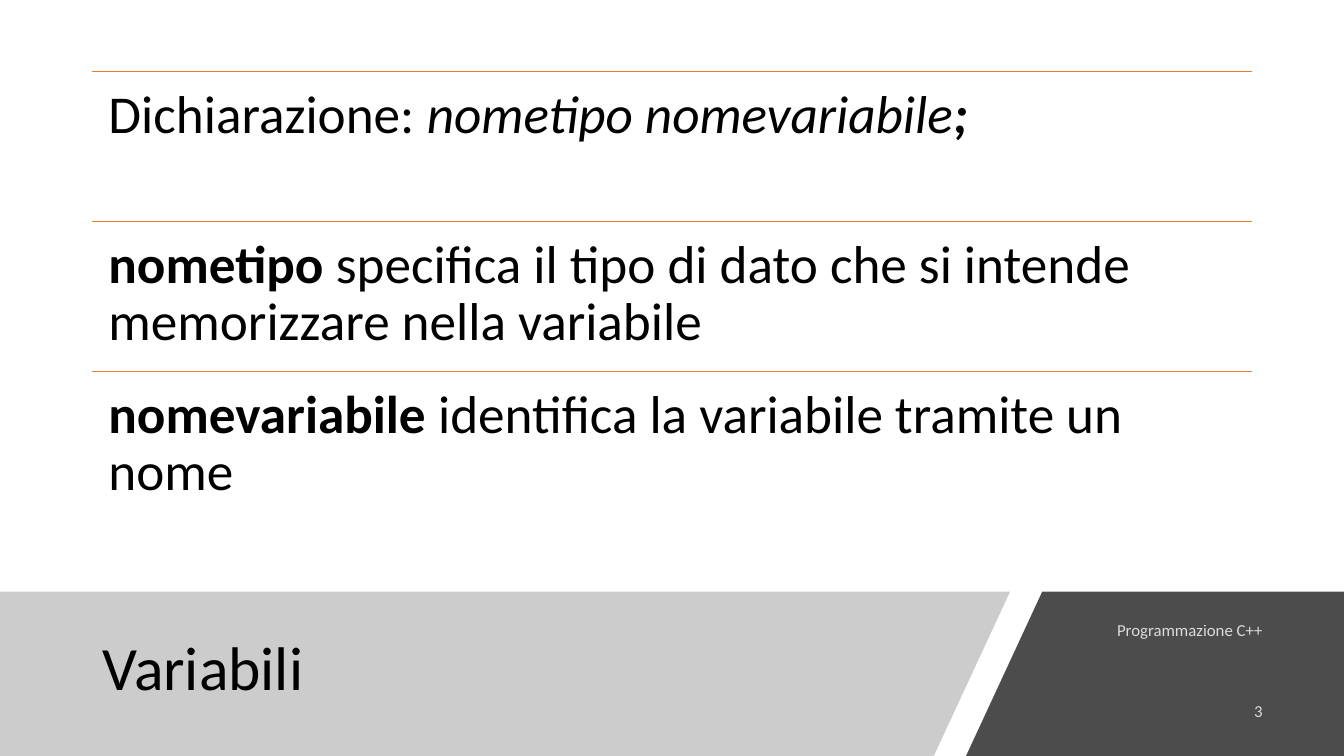
import dataclasses
import lxml.etree
import pptx
import pptx.dml.color
import pptx.enum.shapes
import pptx.enum.text
import pptx.oxml.ns
import pptx.util

Pt = pptx.util.Pt
RGB = pptx.dml.color.RGBColor.from_string
Align = pptx.enum.text.PP_ALIGN
Anchor = pptx.enum.text.MSO_ANCHOR
qn = pptx.oxml.ns.qn


@dataclasses.dataclass
class Theme:
    font: str = "Calibri"
    ink: str = "000000"
    pale: str = "FFFFFF"
    gray: str = "808080"
    rule: str = "ED7D31"
    head: int = 44
    body: int = 38
    note: int = 12


def put(item, values):
    for name, value in values.items():
        setattr(item, name, value)


def fade(root, share):
    for color in root.iter(qn("a:srgbClr")):
        alpha = lxml.etree.SubElement(color, qn("a:alpha"))
        alpha.set("val", str(share * 1000))


class Page:
    def __init__(self, deck, theme):
        self.theme = theme
        self.slide = deck.slides.add_slide(deck.slide_layouts[5])
        self.shapes = self.slide.shapes

    def band(self, points, color, share):
        start, *rest = [(Pt(x), Pt(y)) for x, y in points]
        pen = self.shapes.build_freeform(*start)
        pen.add_line_segments(rest, close=True)
        shape = pen.convert_to_shape()
        shape.shadow.inherit = False
        shape.fill.solid()
        shape.fill.fore_color.rgb = RGB(color)
        shape.line.fill.background()
        fade(shape._element.spPr, share)

    def line(self, x, y, width):
        kind = pptx.enum.shapes.MSO_CONNECTOR.STRAIGHT
        rule = self.shapes.add_connector(kind, Pt(x), Pt(y), Pt(x + width), Pt(y))
        rule.line.color.rgb = RGB(self.theme.rule)
        rule.line.width = Pt(0.5)
        lxml.etree.SubElement(rule._element.spPr, qn("a:effectLst"))

    def label(self, shape, runs, size, color, frame=None, para=None, share=100):
        text = shape.text_frame
        put(text, {"word_wrap": True, "auto_size": pptx.enum.text.MSO_AUTO_SIZE.NONE})
        put(text, frame or {})
        block = text.paragraphs[0]
        put(block, para or {})
        for words, style in runs:
            run = block.add_run()
            run.text = words
            put(run.font, {"name": self.theme.font, "size": Pt(size), **style})
            run.font.color.rgb = RGB(color)
            if share < 100:
                fade(run._r, share)

    def title(self, words, box):
        shape = self.shapes.title
        put(shape, dict(zip(("left", "top", "width", "height"), map(Pt, box))))
        self.shapes._spTree.append(shape._element)
        self.label(shape, [(words, {})], self.theme.head, self.theme.ink,
                   {"vertical_anchor": Anchor.MIDDLE},
                   {"alignment": Align.LEFT, "line_spacing": 0.9})

    def text(self, box, *args, **more):
        shape = self.shapes.add_textbox(*map(Pt, box))
        self.label(shape, *args, **more)


theme = Theme()
deck = pptx.Presentation()
put(deck, {"slide_width": Pt(960), "slide_height": Pt(540)})
page = Page(deck, theme)

top, base = 422.5, 540
page.band([(0, top), (721.5, top), (667, base), (0, base)], theme.gray, 40)
page.title("Variabili", (66, 435.5, 608, 86.5))
page.band([(744.5, top), (960, top), (960, base), (690, base)], theme.ink, 70)

edge = 909
for words, y, width in (("Programmazione C++", 435.5, 168), ("3", 493, 106)):
    page.text((edge - width, y, width, 29), [(words, {})], theme.note, theme.pale,
              frame={"vertical_anchor": Anchor.MIDDLE},
              para={"alignment": Align.RIGHT, "space_after": Pt(6)}, share=80)

bold, slant = {"bold": True}, {"italic": True}
rows = [
    [("Dichiarazione: ", {}), ("nometipo nomevariabile", slant), (";", {**bold, **slant})],
    [("nometipo", bold),
     (" specifica il tipo di dato che si intende memorizzare nella variabile", {})],
    [("nomevariabile", bold), (" identifica la variabile tramite un nome", {})],
]
left, first, width, step = 66, 51, 828, 107
inset = {"margin_" + side: Pt(11.5) for side in ("left", "right", "top", "bottom")}
for index, runs in enumerate(rows):
    y = first + index * step
    page.line(left, y, width)
    page.text((left, y, width, step), runs, theme.body, theme.ink,
              frame=inset, para={"line_spacing": 0.9})

deck.save("out.pptx")
